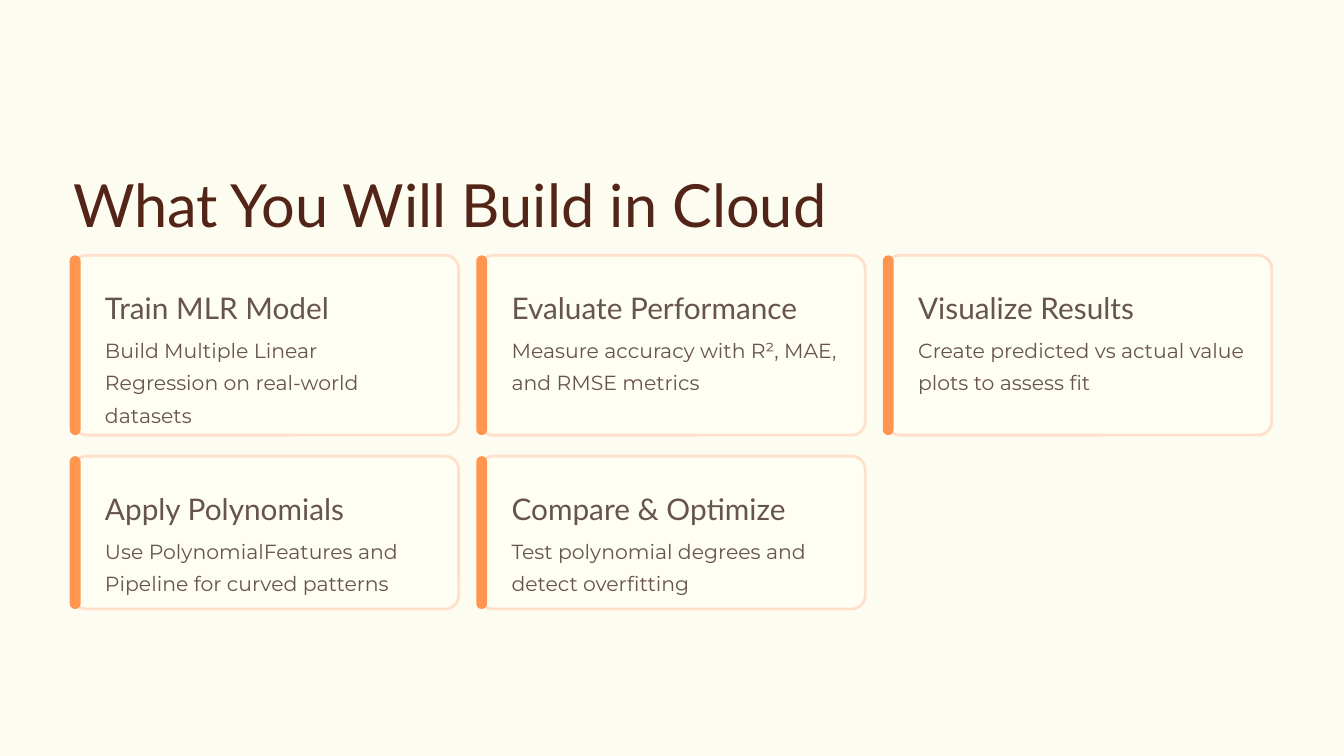
from dataclasses import dataclass

from lxml import etree
from pptx import Presentation
from pptx.dml.color import RGBColor
from pptx.enum import shapes, text
from pptx.oxml import ns
from pptx.util import Inches, Pt


@dataclass(frozen=True)
class Theme:
    # Colours
    page: str = "FDFCF0"
    card: str = "FFFFF4"
    edge: str = "FFE0CC"
    accent: str = "FF954F"
    title: str = "532418"
    ink: str = "67534F"
    # Fonts, with size in points and line spacing
    title_font: tuple = ("Lato", 51, 1.3)
    head_font: tuple = ("Lato", 25.5, 1.29)
    body_font: tuple = ("Montserrat", 17.5, 1.31)


class Deck:
    def __init__(self, theme):
        self.theme = theme
        self.prs = Presentation()
        self.prs.slide_width = Inches(16)
        self.prs.slide_height = Inches(9)

    def start(self):
        self.slide = self.prs.slides.add_slide(self.prs.slide_layouts[5])
        fill = self.slide.background.fill
        fill.solid()
        fill.fore_color.rgb = RGBColor.from_string(self.theme.page)

    def set_text(self, shape, words, style, color):
        name, size, space = style
        frame = shape.text_frame
        frame.text = words
        frame.word_wrap = True
        frame.auto_size = text.MSO_AUTO_SIZE.NONE
        frame.vertical_anchor = text.MSO_ANCHOR.TOP
        frame.margin_left = frame.margin_right = 0
        frame.margin_top = frame.margin_bottom = 0
        para = frame.paragraphs[0]
        para.alignment = text.PP_ALIGN.LEFT
        para.line_spacing = space
        font = para.runs[0].font
        font.name, font.size = name, Pt(size)
        font.color.rgb = RGBColor.from_string(color)

    def title(self, words, left, top, width, height):
        box = self.slide.shapes.title
        box.left, box.top = Inches(left), Inches(top)
        box.width, box.height = Inches(width), Inches(height)
        self.set_text(box, words, self.theme.title_font, self.theme.title)

    def label(self, words, style, left, top, width, height):
        box = self.slide.shapes.add_textbox(
            Inches(left), Inches(top), Inches(width), Inches(height))
        self.set_text(box, words, style, self.theme.ink)

    def panel(self, left, top, width, height, radius, color, edge=None, alpha=None):
        box = self.slide.shapes.add_shape(
            shapes.MSO_SHAPE.ROUNDED_RECTANGLE,
            Inches(left), Inches(top), Inches(width), Inches(height))
        box.adjustments[0] = radius / min(width, height)
        box.shadow.inherit = False
        box.fill.solid()
        box.fill.fore_color.rgb = RGBColor.from_string(color)
        if alpha:
            tint = box.element.spPr.find(".//" + ns.qn("a:srgbClr"))
            etree.SubElement(tint, ns.qn("a:alpha"), val=str(alpha * 1000))
        if edge:
            box.line.color.rgb = RGBColor.from_string(edge)
            box.line.width = Pt(2.4)
        else:
            box.line.fill.background()

    def card(self, head, body, left, top, height):
        look = self.theme
        self.panel(left, top, 4.59, height, 0.16, look.card, look.edge, 95)
        self.panel(left - 0.04, top, 0.13, height, 0.065, look.accent)
        self.label(head, look.head_font, left + 0.38, top + 0.29, 3.57, 0.46)
        self.label(body, look.body_font, left + 0.38, top + 0.9, 3.93, height - 1.17)


# Card rows: top, height, (heading, text) of each card
ROWS = [
    (3.04, 2.14, [
        ("Train MLR Model", "Build Multiple Linear Regression on real-world datasets"),
        ("Evaluate Performance", "Measure accuracy with R², MAE, and RMSE metrics"),
        ("Visualize Results", "Create predicted vs actual value plots to assess fit"),
    ]),
    (5.43, 1.82, [
        ("Apply Polynomials", "Use PolynomialFeatures and Pipeline for curved patterns"),
        ("Compare & Optimize", "Test polynomial degrees and detect overfitting"),
    ]),
]
LEFT, PITCH = 0.87, 4.84


def main():
    deck = Deck(Theme())
    deck.start()

    # Title
    deck.title("What You Will Build in Cloud", LEFT, 1.75, 9.32, 0.93)

    # Card grid
    for top, height, cards in ROWS:
        for col, (head, body) in enumerate(cards):
            deck.card(head, body, LEFT + col * PITCH, top, height)

    deck.prs.save("out.pptx")


if __name__ == "__main__":
    main()
